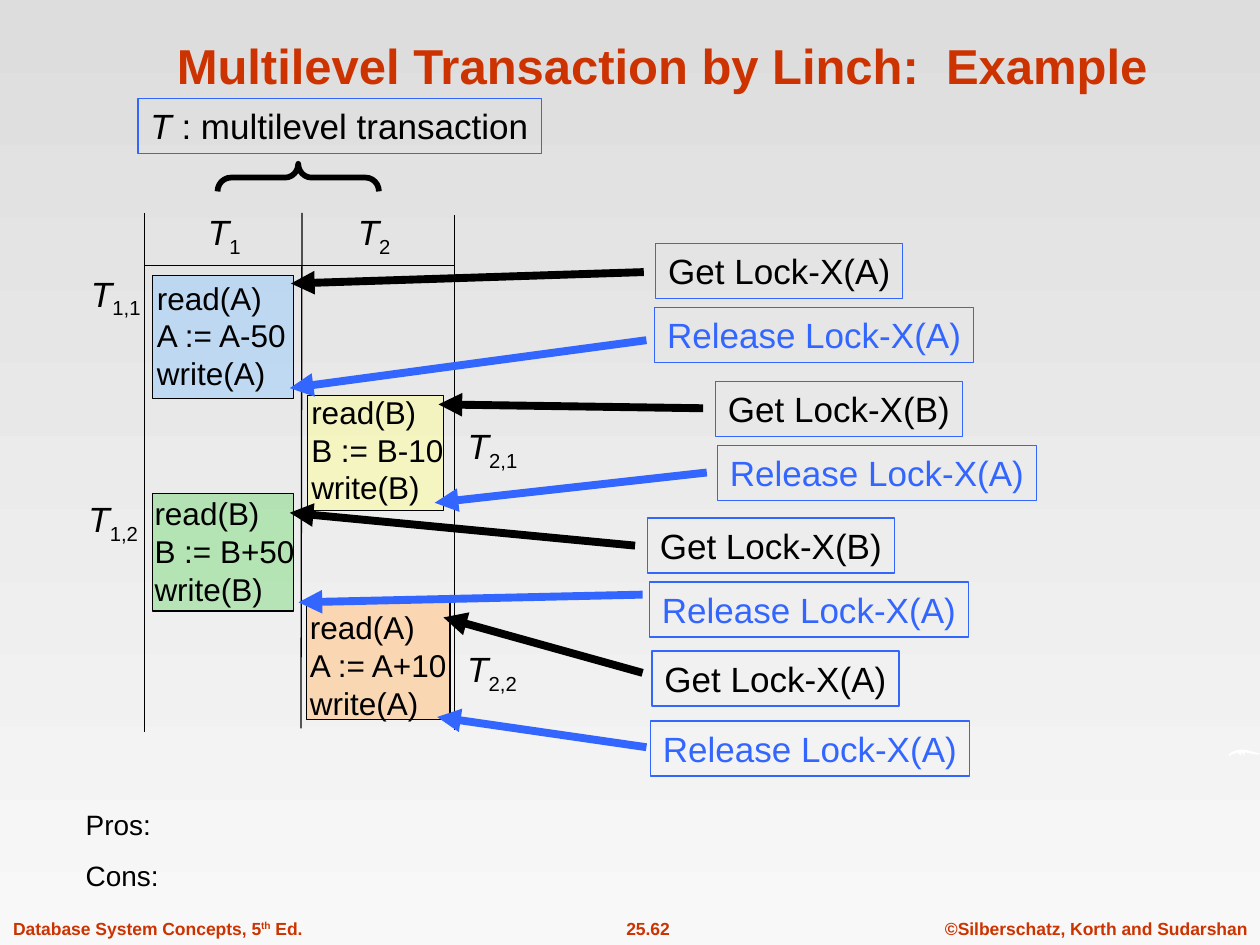
from dataclasses import dataclass
from typing import NamedTuple

from pptx import Presentation
from pptx.dml.color import RGBColor
from pptx.enum.dml import MSO_LINE
from pptx.enum.shapes import MSO_CONNECTOR, MSO_SHAPE
from pptx.enum.text import MSO_ANCHOR, MSO_AUTO_SIZE, PP_ALIGN
from pptx.oxml.ns import qn
from pptx.util import Pt
from lxml.etree import SubElement


@dataclass(frozen=True)
class Theme:
    font: str = "Arial"
    red: str = "CC3300"
    blue: str = "3366FF"
    black: str = "000000"
    white: str = "FFFFFF"
    bg_top: str = "DDDDDD"
    bg_bottom: str = "F8F8F8"
    title: float = 28
    label: float = 20
    code: float = 18
    note: float = 16
    footer: float = 10
    thin: float = 0.75
    brace: float = 3.25
    arrow: float = 4.5


class Box(NamedTuple):
    left: float
    top: float
    width: float
    height: float


class Run(NamedTuple):
    text: str
    italic: bool = False
    baseline: int = 0


class Step(NamedTuple):
    """A sub-transaction: its shaded box, where its code starts, and what it does."""
    box: Box
    code_at: Box
    fill: str
    alpha: int
    item: str
    change: str


class Lock(NamedTuple):
    action: str
    item: str
    left: float
    top: float
    start: tuple[float, float]
    end: tuple[float, float]


T = Theme()
STEPS = [
    Step(Box(87.1, 157.5, 80.8, 70.4), Box(82.6, 155.7, 90, 72), "99CCFF", 50, "A", "-50"),
    Step(Box(175.9, 226, 77.6, 65.6), Box(170.8, 221, 90, 72), "FFFF99", 50, "B", "-10"),
    Step(Box(87.1, 282.2, 80.8, 67), Box(81.2, 278.8, 94.3, 72), "33CC33", 30, "B", "+50"),
    Step(Box(175.1, 344.3, 82, 67), Box(170, 344, 94.3, 72), "FFCC99", 70, "A", "+10"),
]
LOCKS = [
    Lock("Get", "A", 374.8, 139, (367.9, 155.5), (166.3, 162)),
    Lock("Release", "A", 374.1, 175.6, (369.4, 194.4), (165.6, 221.8)),
    Lock("Get", "B", 408.9, 218, (401.8, 233.3), (250.6, 231.1)),
    Lock("Release", "A", 410, 254.4, (403.9, 270), (248.4, 287.3)),
    Lock("Get", "B", 370, 296, (362.9, 311.8), (165.6, 293)),
    Lock("Release", "A", 371.1, 332.6, (367.2, 339.8), (170.6, 344.2)),
    Lock("Get", "A", 372.6, 372, (367.2, 384.5), (253.4, 352.8)),
    Lock("Release", "A", 371.7, 412, (369.4, 427), (249.8, 409.7)),
]
LOCK_STYLE = {"Get": (141.1, T.black), "Release": (182.2, T.blue)}
NAMES = [
    ("1", 111.8, 116.6), ("2", 197.4, 116.6), ("1,1", 44.9, 151.9),
    ("1,2", 43.4, 281), ("2,1", 260.2, 239), ("2,2", 259.9, 366.7),
]
GRID = [
    ((82.6, 121.7), (82.6, 418.3)), ((172.6, 121.7), (172, 416.2)),
    ((259.7, 123.1), (259.7, 416.9)), ((82.6, 151.7), (259.2, 151.7)),
]
SWOOSH = [
    (702, 432.7), (702.7, 430.6), (705, 429.2), (708.5, 428.4), (712, 428.5),
    (716, 429.6), (719, 430.3), (720, 430.8), (719, 431.3), (715, 430.7),
    (711.4, 429.9), (711.2, 431.8), (709.3, 429.9), (709.2, 432), (707.2, 430),
    (705.8, 430.5), (703.5, 431.3),
]


def rgb(color: str) -> RGBColor:
    return RGBColor.from_string(color)


def write(sp, paras: list[list[Run]], size: float, color: str, bold: bool = False,
          align: PP_ALIGN = PP_ALIGN.LEFT, gap: float = 0):
    """Fill a frame; the free right inset keeps every paragraph on one line."""
    tf = sp.text_frame
    tf.word_wrap = True
    tf.auto_size = MSO_AUTO_SIZE.NONE
    tf.vertical_anchor = MSO_ANCHOR.TOP
    tf.margin_left = Pt(7.2 if align == PP_ALIGN.LEFT else 0)
    tf.margin_right = Pt(0)
    for i, runs in enumerate(paras):
        p = tf.add_paragraph() if i else tf.paragraphs[0]
        p.alignment = align
        if i and gap:
            p.space_before = Pt(gap)
        for run in runs:
            r = p.add_run()
            r.text = run.text
            f = r.font
            f.name, f.size, f.bold, f.italic = T.font, Pt(size), bold, run.italic
            f.color.rgb = rgb(color)
            if run.baseline:
                r._r.get_or_add_rPr().set("baseline", str(run.baseline * 1000))
    return tf


def add_text(s, box: Box, paras: list[list[Run]], size: float, color: str, **options):
    return write(s.shapes.add_textbox(*map(Pt, box)), paras, size, color, **options)


def add_box(s, box: Box, line: str, fill: str | None = None, alpha: int = 100):
    sp = s.shapes.add_shape(MSO_SHAPE.RECTANGLE, *map(Pt, box))
    sp.shadow.inherit = False
    sp.line.color.rgb, sp.line.width = rgb(line), Pt(T.thin)
    if fill is None:
        sp.fill.background()
    else:
        sp.fill.solid()
        sp.fill.fore_color.rgb = rgb(fill)
        clr = sp._element.spPr.find(qn("a:solidFill"))[0]
        SubElement(clr, qn("a:alpha"), val=str(alpha * 1000))
    return sp


def add_line(s, start: tuple, end: tuple, color: str, width: float, arrow: bool = False):
    cn = s.shapes.add_connector(MSO_CONNECTOR.STRAIGHT, *map(Pt, start + end))
    cn.line.color.rgb, cn.line.width = rgb(color), Pt(width)
    cn.line.dash_style = MSO_LINE.SOLID
    if arrow:
        SubElement(cn.line._get_or_add_ln(), qn("a:tailEnd"), type="triangle")
    SubElement(cn._element.spPr, qn("a:effectLst"))


def add_background(s):
    fill = s.background.fill
    fill.gradient()
    fill.gradient_angle = 270
    for stop, color in zip(fill.gradient_stops, (T.bg_top, T.bg_bottom)):
        stop.color.rgb = rgb(color)
    fb = s.shapes.build_freeform(*map(Pt, SWOOSH[0]))
    fb.add_line_segments([(Pt(x), Pt(y)) for x, y in SWOOSH[1:]])
    sp = fb.convert_to_shape()
    sp.shadow.inherit = False
    sp.fill.solid()
    sp.fill.fore_color.rgb = rgb(T.white)
    sp.line.fill.background()


def add_frame_text(s):
    tf = add_text(s, Box(60.5, 9, 635.8, 48.2),
                  [[Run("Multilevel Transaction by Linch:  Example")]],
                  T.title, T.red, bold=True, align=PP_ALIGN.CENTER)
    tf.vertical_anchor = MSO_ANCHOR.BOTTOM
    tf.paragraphs[0].line_spacing = 0.8
    edition = [Run("Database System Concepts, 5"), Run("th", baseline=30), Run(" Ed.")]
    for left, width, runs, align in (
        (0.4, 179.3, edition, PP_ALIGN.LEFT),
        (332.2, 76.3, [Run("25.62")], PP_ALIGN.CENTER),
        (532.8, 187.2, [Run("©Silberschatz, Korth and Sudarshan")], PP_ALIGN.CENTER),
    ):
        add_text(s, Box(left, 520.9, width, 19.1), [runs], T.footer, T.red,
                 bold=True, align=align)
    add_text(s, Box(41.9, 458, 491, 55.4), [[Run("Pros:")], [Run("Cons:")]],
             T.note, T.black, gap=10)


def add_schedule(s):
    for step in STEPS:
        add_box(s, step.box, T.black, step.fill, step.alpha)
    for start, end in GRID:
        add_line(s, start, end, T.black, T.thin)
    for step in STEPS:
        x = step.item
        code = (f"read({x})", f"{x} := {x}{step.change}", f"write({x})")
        add_text(s, step.code_at, [[Run(c)] for c in code], T.code, T.black)
    for index, left, top in NAMES:
        width = 33.1 if len(index) == 1 else 42.5
        add_text(s, Box(left, top, width, 34.6),
                 [[Run("T", italic=True), Run(index, baseline=-25)]], T.label, T.black)
    brace = s.shapes.add_shape(MSO_SHAPE.LEFT_BRACE, Pt(162.5), Pt(55.4), Pt(15.8), Pt(92.2))
    brace.rotation = 90
    brace.adjustments[0] = 0.48
    brace.shadow.inherit = False
    brace.fill.background()
    brace.line.color.rgb, brace.line.width = rgb(T.black), Pt(T.brace)
    write(add_box(s, Box(78.9, 56.2, 230.4, 31.6), T.blue),
          [[Run("T ", italic=True), Run(": multilevel transaction")]], T.label, T.black)


def add_lock(s, lock: Lock):
    width, color = LOCK_STYLE[lock.action]
    add_line(s, lock.start, lock.end, color, T.arrow, arrow=True)
    write(add_box(s, Box(lock.left, lock.top, width, 31.5), T.blue),
          [[Run(f"{lock.action} Lock-X({lock.item})")]], T.label, color)


prs = Presentation()
prs.slide_width, prs.slide_height = Pt(720), Pt(540)
s = prs.slides.add_slide(prs.slide_layouts[6])
add_background(s)
add_frame_text(s)
add_schedule(s)
for lock in LOCKS:
    add_lock(s, lock)
prs.save("out.pptx")
